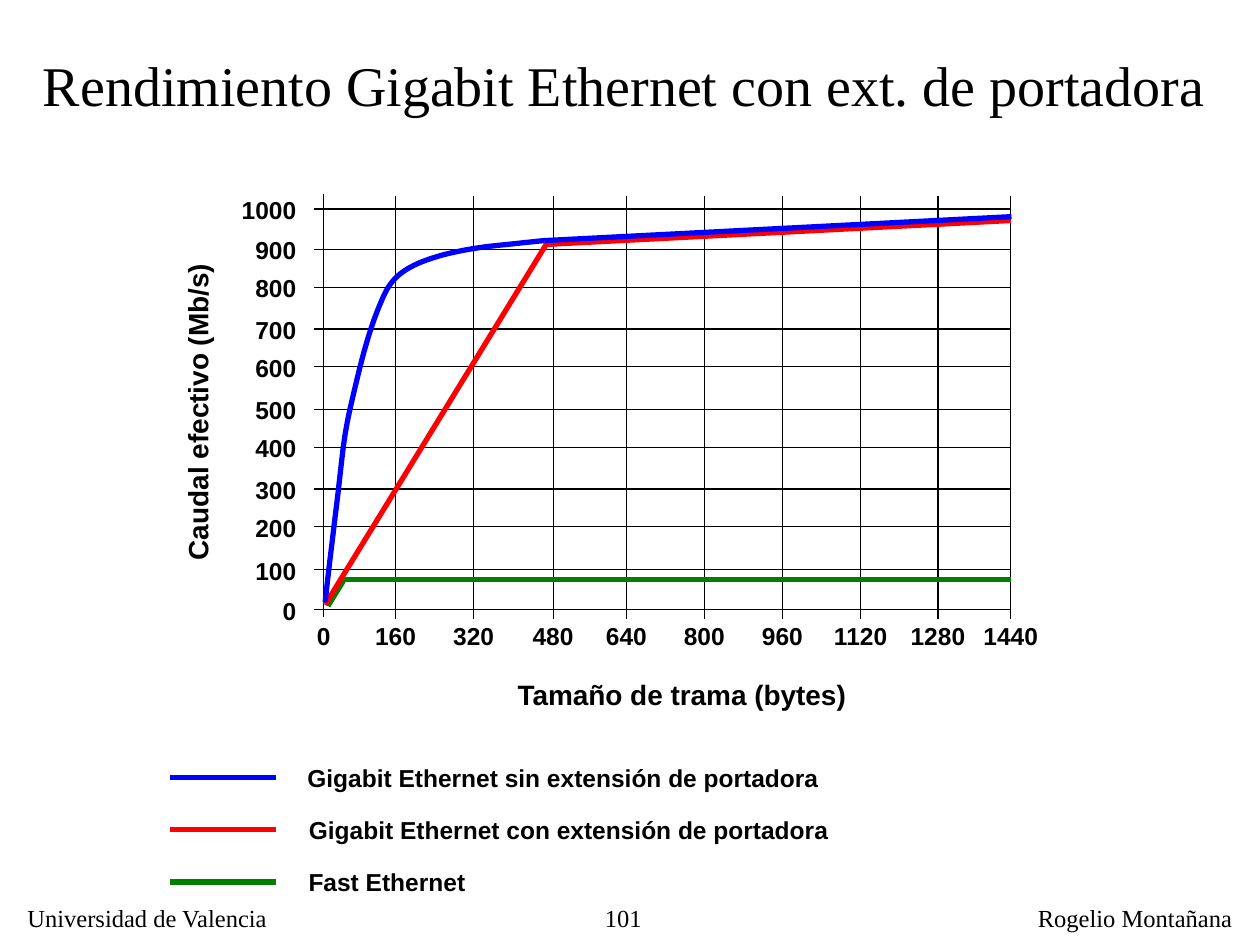
from lxml import etree
from pptx import Presentation
from pptx.dml.color import RGBColor
from pptx.enum import shapes, text
from pptx.oxml import ns
from pptx.util import Pt

BLACK, BLUE, RED, GREEN = "000000", "0000FF", "FF0000", "008000"
LEFT, CENTER, RIGHT = text.PP_ALIGN.LEFT, text.PP_ALIGN.CENTER, text.PP_ALIGN.RIGHT
SERIF, SANS = "Times New Roman", "Arial"

TITLE = "Rendimiento Gigabit Ethernet con ext. de portadora"
# Text, left, width, alignment
FOOTER = [
    ("101", 297.4, 76.3, RIGHT),
    ("Universidad de Valencia", 8.6, 153.4, LEFT),
    ("Rogelio Montañana", 586, 125.3, LEFT),
]
# Axis value and position of its grid line
FRAME_SIZES = [
    (0, 185), (160, 226.1), (320, 270.7), (480, 316.1), (640, 358),
    (800, 402.5), (960, 447.1), (1120, 491.8), (1280, 536), (1440, 577.6),
]
RATES = [
    (1000, 119.5), (900, 142.6), (800, 164.2), (700, 188), (600, 209.5),
    (500, 234), (400, 255.6), (300, 279.5), (200, 301), (100, 325.5), (0, 348.4),
]
LEGEND = [
    ("Gigabit Ethernet sin extensión de portadora", BLUE, 168.5, 444.2),
    ("Gigabit Ethernet con extensión de portadora", RED, 169.4, 474),
    ("Fast Ethernet", GREEN, 169.2, 504),
]
SEGMENTS = [
    (GREEN, (187.4, 346.3), (196.2, 332)),
    (GREEN, (195.8, 331.2), (577.6, 331.2)),
    (RED, (185.8, 345.6), (312.8, 138.6)),
    (RED, (311.8, 139.7), (577.6, 126)),
    (BLUE, (311, 137.5), (578, 123.8)),
]
BLUE_CURVE = [
    (185.8, 344.2), (187.9, 325.4), (193, 283), (197.3, 247.7), (203, 221),
    (209.5, 195.8), (216.7, 175), (223.9, 161.3), (234.7, 152.6),
    (251.3, 146.2), (272.2, 141.8), (296.6, 139), (311, 137.5),
]


def color(value):
    return RGBColor.from_string(value)


def write(box, words, size, font, align, bold=False, wrap=False,
          anchor=text.MSO_ANCHOR.TOP):
    frame = box.text_frame
    frame.word_wrap = wrap
    frame.vertical_anchor = anchor
    frame.margin_left = frame.margin_right = Pt(7.2)
    frame.margin_top = frame.margin_bottom = Pt(3.6)
    para = frame.paragraphs[0]
    para.alignment = align
    span = para.add_run()
    span.text = words
    span.font.size, span.font.name, span.font.bold = Pt(size), font, bold
    span.font.color.rgb = color(BLACK)


def add_text(page, words, left, top, width, size=14, font=SANS, align=LEFT, bold=True):
    box = page.shapes.add_textbox(Pt(left), Pt(top), Pt(width), Pt(size * 1.2 + 7.5))
    write(box, words, size, font, align, bold, wrap=True)
    return box


def add_line(page, start, end, hue=BLACK, weight=0.75):
    line = page.shapes.add_connector(
        shapes.MSO_CONNECTOR.STRAIGHT, *(Pt(value) for value in (*start, *end)))
    line.line.color.rgb = color(hue)
    line.line.width = Pt(weight)
    etree.SubElement(line._element.spPr, ns.qn("a:effectLst"))


def smooth(points, steps=8):
    """Return a dense Catmull-Rom curve through the points."""
    padded = [points[0], *points, points[-1]]
    curve = [points[0]]
    for a, b, c, d in zip(padded, padded[1:], padded[2:], padded[3:]):
        for step in range(1, steps + 1):
            t = step / steps
            curve.append(tuple(
                (2 * q + (r - p) * t + (2 * p - 5 * q + 4 * r - s) * t ** 2
                 + (3 * q - p - 3 * r + s) * t ** 3) / 2
                for p, q, r, s in zip(a, b, c, d)))
    return curve


def add_curve(page, points, hue):
    start, *rest = [(Pt(x), Pt(y)) for x, y in smooth(points)]
    builder = page.shapes.build_freeform(*start)
    builder.add_line_segments(rest, close=False)
    curve = builder.convert_to_shape()
    curve.shadow.inherit = False
    curve.fill.background()
    curve.line.color.rgb = color(hue)
    curve.line.width = Pt(3)


def add_grid(page):
    for value, x in FRAME_SIZES:
        top = 111 if value == 0 else 112.3
        add_line(page, (x, top), (x, top + 241.7))
        add_text(page, str(value), x - 25, 351.4, 50, align=CENTER)
    for value, y in RATES:
        add_line(page, (179.3, y), (578, y))
        add_text(page, str(value), 126.4, y - 11.6, 50, align=RIGHT)


def main():
    deck = Presentation()
    deck.slide_width, deck.slide_height = Pt(720), Pt(540)
    page = deck.slides.add_slide(deck.slide_layouts[5])

    title = page.shapes.title
    title.left, title.top, title.width, title.height = Pt(5.8), Pt(23.8), Pt(702), Pt(47)
    write(title, TITLE, 32, SERIF, CENTER, wrap=True, anchor=text.MSO_ANCHOR.BOTTOM)
    for words, left, width, align in FOOTER:
        add_text(page, words, left, 512.6, width, font=SERIF, align=align, bold=False)

    add_grid(page)
    for hue, start, end in SEGMENTS:
        add_line(page, start, end, hue, 3)
    add_curve(page, BLUE_CURVE, BLUE)

    add_text(page, "Tamaño de trama (bytes)", 288.7, 383.8, 205, size=16)
    rate_title = add_text(page, "Caudal efectivo (Mb/s)", 20.9, 221.8, 184, size=16)
    rate_title.rotation = 270
    for words, hue, left, y in LEGEND:
        add_line(page, (97.2, y), (157.7, y), hue, 3)
        add_text(page, words, left, y - 12, 315)

    deck.save("out.pptx")


if __name__ == "__main__":
    main()
